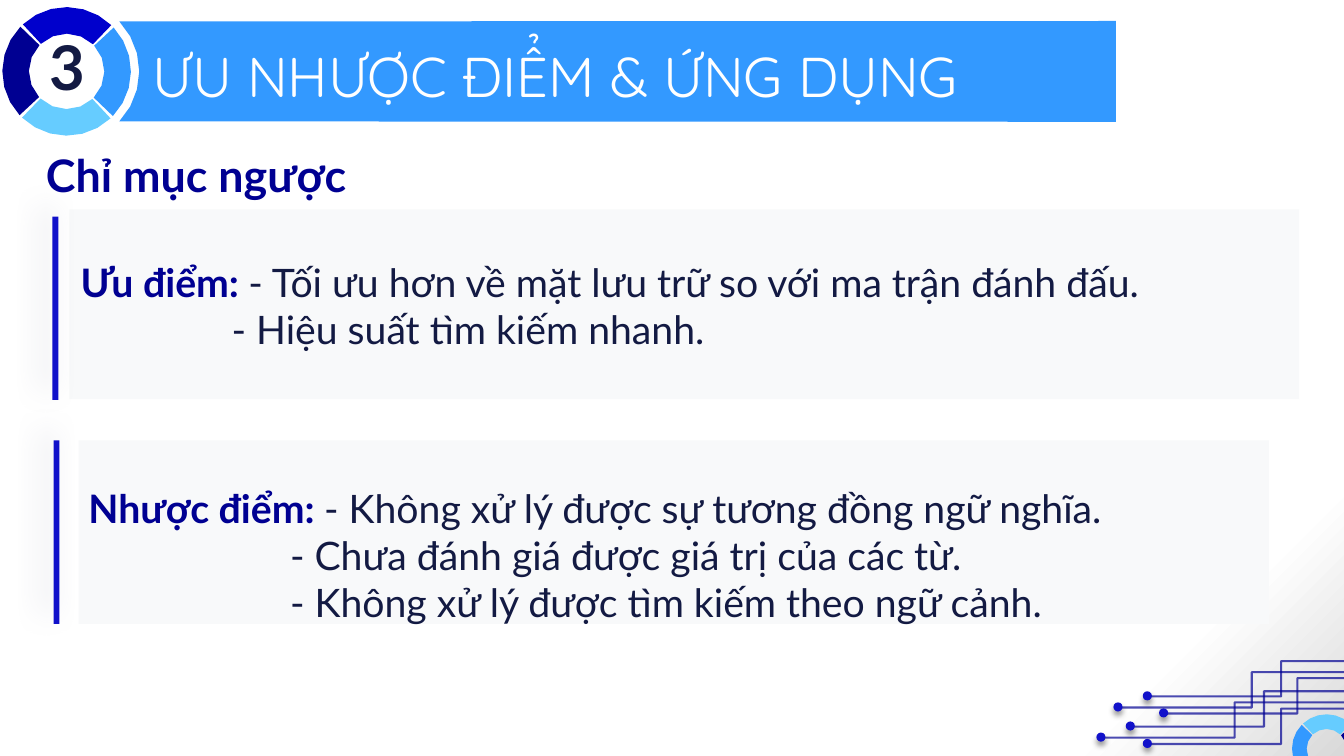
from math import cos, radians, sin

from lxml import etree
from pptx import Presentation
from pptx.dml.color import RGBColor
from pptx.enum.shapes import MSO_CONNECTOR, MSO_SHAPE
from pptx.enum.text import MSO_ANCHOR, MSO_AUTO_SIZE, PP_ALIGN
from pptx.oxml.ns import qn
from pptx.util import Cm, Pt

ELBOW = MSO_CONNECTOR.ELBOW
OVAL, RECT, ROUNDED = MSO_SHAPE.OVAL, MSO_SHAPE.RECTANGLE, MSO_SHAPE.ROUNDED_RECTANGLE
TOP, GROW = MSO_ANCHOR.TOP, MSO_AUTO_SIZE.SHAPE_TO_FIT_TEXT
LEFT, CENTER = PP_ALIGN.LEFT, PP_ALIGN.CENTER

WHITE = RGBColor(0xFF, 0xFF, 0xFF)
GREY = RGBColor(0xD9, 0xD9, 0xD9)
PANEL = RGBColor(0xF8, 0xF9, 0xFA)
INK = RGBColor(0x13, 0x1A, 0x43)
NAVY = RGBColor(0x00, 0x00, 0x92)
BLUE = RGBColor(0x00, 0x00, 0xCC)
ACCENT = RGBColor(0x11, 0x11, 0xCA)
AZURE = RGBColor(0x33, 0x99, 0xFF)
SKY = RGBColor(0x66, 0xCC, 0xFF)
BLACK = RGBColor(0x00, 0x00, 0x00)
HAZE = RGBColor(0xA1, 0xA5, 0xB9)


def paint(sp, color, shadow=None):
    sp.fill.solid()
    sp.fill.fore_color.rgb = color
    sp.line.fill.background()
    sp.shadow.inherit = False
    if shadow:
        tint, blur, dist, angle = shadow
        effects = sp.element.find(".//" + qn("a:effectLst"))
        outer = etree.SubElement(effects, qn("a:outerShdw"), blurRad=str(Pt(blur)),
                                 dist=str(Pt(dist)), dir=str(angle * 60000),
                                 algn="ctr", rotWithShape="0")
        clr = etree.SubElement(outer, qn("a:srgbClr"), val=str(tint))
        etree.SubElement(clr, qn("a:alpha"), val="40000")


def write(sp, text, label="", size=28, font="Lato", color=INK, bold=False, align=LEFT, indent=0):
    tf = sp.text_frame
    tf.word_wrap = True
    tf.auto_size = GROW
    tf.vertical_anchor = TOP
    for i, line in enumerate(text.split("\n")):
        p = tf.add_paragraph() if i else tf.paragraphs[0]
        p.alignment = align
        if i:
            p._p.get_or_add_pPr().set("marL", str(Cm(indent)))
        runs = [(line, color, bold)]
        if label and i == 0:
            runs.insert(0, (label, NAVY, True))
        for words, tone, heavy in runs:
            r = p.add_run()
            r.text = words
            r.font.name = font
            r.font.size = Pt(size)
            r.font.bold = heavy
            r.font.color.rgb = tone


prs = Presentation()
prs.slide_width, prs.slide_height = Cm(33.87), Cm(19.05)
s = prs.slides.add_slide(prs.slide_layouts[5])

bg = s.background.fill
bg.gradient()
for stop, (position, color) in zip(bg.gradient_stops, [(0.87, WHITE), (1, GREY)]):
    stop.position = position
    stop.color.rgb = color
grad = s.element.find(".//" + qn("a:gradFill"))
grad.remove(grad.find(qn("a:lin")))
circle = etree.SubElement(grad, qn("a:path"), path="circle")
etree.SubElement(circle, qn("a:fillToRect"), r="100000", b="100000")

rings = [
    (1.68, 1.8, 1.62, 0.95, [AZURE, SKY, NAVY, BLUE]),
    (33.43, 18.87, 0.87, 0.5, [NAVY, None, AZURE, SKY]),
]
outlines = []
for cx, cy, outer, inner, colors in rings:
    for quarter, color in enumerate(colors):
        if color is None:
            continue
        start = 90 * quarter - 43
        arc = [(outer, start + 14.5 * k) for k in range(7)]
        arc += [(inner, start + 87 - 21.75 * k) for k in range(5)]
        points = [(cx + r * cos(radians(a)), cy + r * sin(radians(a))) for r, a in arc]
        outlines.append((points, color, 46))

curve = [radians(43.5 - 14.5 * k) for k in range(7)]
ribbon = [(28.12, 0.53), (28.12, 3.07)]
ribbon += [(1.68 + 1.83 * cos(a), 1.8 + 1.83 * sin(a)) for a in curve]
outlines.append((ribbon, AZURE, 46.5))

for points, color, tilt in outlines:
    c, d = cos(radians(tilt)), sin(radians(tilt))
    turned = [(Cm(x * c + y * d), Cm(y * c - x * d)) for x, y in points]
    fb = s.shapes.build_freeform(*turned[0])
    fb.add_line_segments(turned[1:])
    sp = fb.convert_to_shape()
    mid_x, mid_y = sp.left + sp.width / 2, sp.top + sp.height / 2
    sp.left = int(mid_x * c - mid_y * d - sp.width / 2)
    sp.top = int(mid_x * d + mid_y * c - sp.height / 2)
    sp.rotation = tilt
    paint(sp, color)

title = s.shapes.title
title.element.getparent().append(title.element)
title.left, title.top, title.width, title.height = Cm(3.58), Cm(0.91), Cm(25.37), Cm(1.96)
write(title, "ƯU NHƯỢC ĐIỂM & ỨNG DỤNG", size=40, font="Quicksand", color=WHITE)

number = s.shapes.add_textbox(Cm(0.66), Cm(0.61), Cm(2.06), Cm(2.13))
write(number, "3", size=44, bold=True, align=CENTER)

sections = [
    ((1.75, 5.28, 30.99, 4.78), (1.78, 6.39, 31.06, 2.64), (1.32, 5.46), 3.81, "Ưu điểm: ",
     "- Tối ưu hơn về mặt lưu trữ so với ma trận đánh đấu.\n- Hiệu suất tìm kiếm nhanh."),
    ((1.98, 11.1, 30, 4.62), (1.98, 12.07, 30.56, 3.84), (1.35, 11.1), 5.08, "Nhược điểm: ",
     "- Không xử lý được sự tương đồng ngữ nghĩa.\n- Chưa đánh giá được giá trị của các từ.\n"
     "- Không xử lý được tìm kiếm theo ngữ cảnh."),
]
for panel_box, text_box, (bar_x, bar_y), indent, label, text in sections:
    panel = s.shapes.add_shape(ROUNDED, *map(Cm, panel_box))
    panel.adjustments[0] = 0
    paint(panel, PANEL)
    write(s.shapes.add_textbox(*map(Cm, text_box)), text, label=label, indent=indent)
    bar = s.shapes.add_shape(RECT, Cm(bar_x), Cm(bar_y), Cm(0.15), Cm(4.62))
    paint(bar, ACCENT, shadow=(HAZE, 20, 10, 225))

circuit = [(28.19, 17.83), (28.93, 17.55), (29.34, 17.98),
           (27.76, 18.59), (28.5, 18.31), (28.93, 18.75)]
for x, y in circuit:
    wire = s.shapes.add_connector(ELBOW, Cm(x), Cm(y), Cm(x + 6.71), Cm(y - 0.89))
    wire.line.width = Pt(1.5)
    wire.line.color.rgb = NAVY
    clr = wire.element.find(".//" + qn("a:srgbClr"))
    etree.SubElement(clr, qn("a:alpha"), val="70000")
    etree.SubElement(wire.element.spPr, qn("a:effectLst"))
    node = s.shapes.add_shape(OVAL, Cm(x - 0.13), Cm(y - 0.13), Cm(0.23), Cm(0.23))
    paint(node, ACCENT, shadow=(BLACK, 4, 3, 90))

heading = s.shapes.add_textbox(Cm(0.91), Cm(3.59), Cm(32.66), Cm(1.63))
write(heading, "Chỉ mục ngược", size=32, color=NAVY, bold=True)

prs.save("out.pptx")
